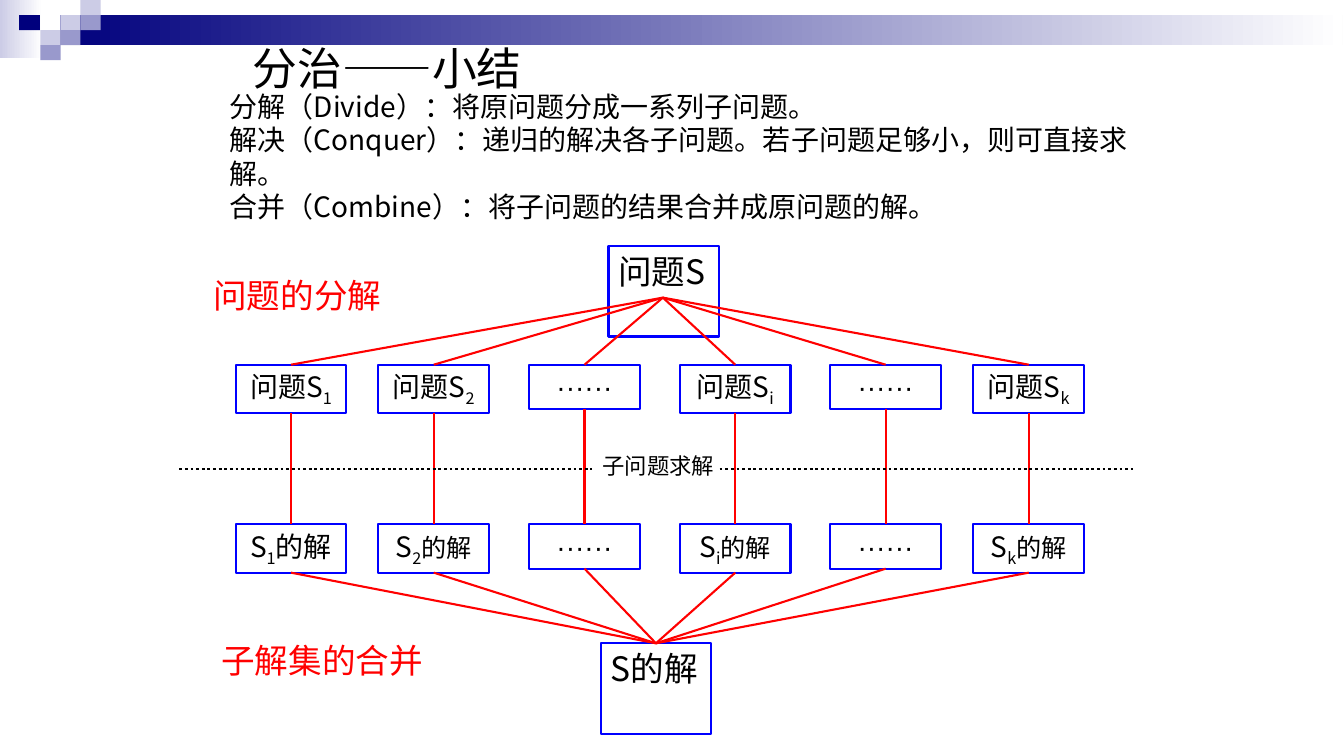
from lxml.etree import SubElement
from pptx import Presentation
from pptx.dml.color import RGBColor
from pptx.enum.dml import MSO_LINE
from pptx.enum.shapes import MSO_CONNECTOR, MSO_SHAPE
from pptx.enum.text import MSO_ANCHOR, MSO_AUTO_SIZE, PP_ALIGN
from pptx.oxml.ns import qn
from pptx.util import Cm, Pt

CJK, LATIN = "Noto Sans CJK SC", "Arial"
BLACK, RED, BLUE = "000000", "FF0000", "0000FF"
rgb = RGBColor.from_string


def write(sp, paragraphs, color=BLACK, align=PP_ALIGN.LEFT, anchor=MSO_ANCHOR.TOP):
    """Fill a shape; each paragraph is a list of (text, size, font, baseline) runs."""
    tf = sp.text_frame
    tf.word_wrap = True
    tf.auto_size = MSO_AUTO_SIZE.NONE
    tf.vertical_anchor = anchor
    for i, runs in enumerate(paragraphs):
        p = tf.add_paragraph() if i else tf.paragraphs[0]
        p.alignment = align
        p.space_before = Pt(0)
        for text, size, font, baseline in runs:
            r = p.add_run()
            r.text = text
            r.font.size = Pt(size)
            r.font.name = font
            r.font.color.rgb = rgb(color)
            rPr = r._r.get_or_add_rPr()
            SubElement(rPr, qn("a:ea")).set("typeface", CJK)
            if baseline:
                rPr.set("baseline", str(baseline))


def add_line(x1, y1, x2, y2, color=RED, width=1.5):
    line = shapes.add_connector(MSO_CONNECTOR.STRAIGHT, Cm(x1), Cm(y1), Cm(x2), Cm(y2))
    line.line.color.rgb = rgb(color)
    line.line.width = Pt(width)
    SubElement(line._element.spPr, qn("a:effectLst"))
    return line


prs = Presentation()
prs.slide_width, prs.slide_height = Cm(33.88), Cm(19.05)
slide = prs.slides.add_slide(prs.slide_layouts[5])
shapes = slide.shapes

# Header band: two gradients, then small squares
header = [
    (0, 0, 1.07, 1.47, "CCCCE6", True),
    (1.52, 0.38, 32.33, 0.76, "00007D", True),
    (1.52, 0.38, 0.51, 0.38, "CCCCE6", False),
    (2.03, 0, 0.51, 0.38, "CCCCE6", False),
    (2.03, 0.38, 0.51, 0.38, "9999CC", False),
    (1.02, 0.76, 0.51, 0.38, "CCCCE6", False),
    (0.48, 0.38, 0.53, 0.38, "00007D", False),
    (1.52, 0.76, 0.51, 0.38, "9999CC", False),
    (1.02, 1.14, 0.51, 0.38, "9999CC", False),
]
for x, y, w, h, color, fades in header:
    sp = shapes.add_shape(MSO_SHAPE.RECTANGLE, Cm(x), Cm(y), Cm(w), Cm(h))
    sp.shadow.inherit = False
    sp.line.fill.background()
    if fades:
        sp.fill.gradient()
        sp.fill.gradient_angle = 0
        for stop, stop_color in zip(sp.fill.gradient_stops, (color, "FFFFFF")):
            stop.color.rgb = rgb(stop_color)
    else:
        sp.fill.solid()
        sp.fill.fore_color.rgb = rgb(color)

title = shapes.title
title.left, title.top, title.width, title.height = Cm(6.12), Cm(0.91), Cm(8.61), Cm(1.63)
write(title, [[("分治——小结", 32, LATIN, 0)]])

steps = [
    "分解（Divide）：将原问题分成一系列子问题。",
    "解决（Conquer）：递归的解决各子问题。若子问题足够小，则可直接求解。",
    "合并（Combine）：将子问题的结果合并成原问题的解。",
]
sp = shapes.add_textbox(Cm(5.54), Cm(2.11), Cm(23.8), Cm(3.66))
write(sp, [[(step, 20, CJK, 0)] for step in steps], anchor=MSO_ANCHOR.MIDDLE)

# Boxes: problem and solution at the ends, one column per subproblem between
BOX_W = 2.79
DOTS = [("······", 20, LATIN, 0)]
boxes = [
    (15.34, 6.2, 2.28, [("问题S", 24, CJK, 0)], PP_ALIGN.LEFT),
    (15.14, 16.21, 2.28, [("S的解", 24, CJK, 0)], PP_ALIGN.LEFT),
]
columns = [(5.94, "1"), (9.54, "2"), (13.34, ""), (17.14, "i"), (20.93, ""), (24.54, "k")]
for x, index in columns:
    problem = solution = DOTS
    if index:
        sub = (index, 20, CJK, -25000)
        ending = ("的解", 20, CJK, 0) if index == "1" else ("的解", 18, LATIN, 0)
        problem = [("问题S", 20, CJK, 0), sub]
        solution = [("S", 20, CJK, 0), sub, ending]
    for y, runs in ((9.19, problem), (13.21, solution)):
        boxes.append((x, y, 1.22 if index else 1.12, runs, PP_ALIGN.CENTER))

drawn = []
for x, y, h, runs, align in boxes:
    sp = shapes.add_shape(MSO_SHAPE.RECTANGLE, Cm(x), Cm(y), Cm(BOX_W), Cm(h))
    sp.shadow.inherit = False
    sp.fill.background()
    sp.line.color.rgb = rgb(BLUE)
    sp.line.width = Pt(1.5)
    write(sp, [runs], align=align)
    drawn.append(sp)

# Lines: split the problem, solve each part, merge the solutions
whole_solution = drawn[1]
for problem, solution in zip(drawn[2::2], drawn[3::2]):
    split = add_line(16.71, 7.5, 16.71, 9.19)
    split.end_connect(problem, 0)
    solve = add_line(0, 0, 1, 1)
    solve.begin_connect(problem, 2)
    solve.end_connect(solution, 0)
    merge = add_line(0, 0, 1, 1)
    merge.begin_connect(solution, 2)
    merge.end_connect(whole_solution, 0)

for x in (4.52, 18.14):
    add_line(x, 11.82, x + 10.41, 11.82, BLACK, 2).line.dash_style = MSO_LINE.ROUND_DOT

labels = [
    (14.94, 11.28, 3.4, 0.94, "子问题求解", 16, BLACK),
    (5.13, 6.81, 5.41, 1.27, "问题的分解", 24, RED),
    (5.33, 16, 5.79, 1.27, "子解集的合并", 24, RED),
]
for x, y, w, h, text, size, color in labels:
    sp = shapes.add_textbox(Cm(x), Cm(y), Cm(w), Cm(h))
    write(sp, [[(text, size, CJK, 0)]], color)

prs.save("out.pptx")
